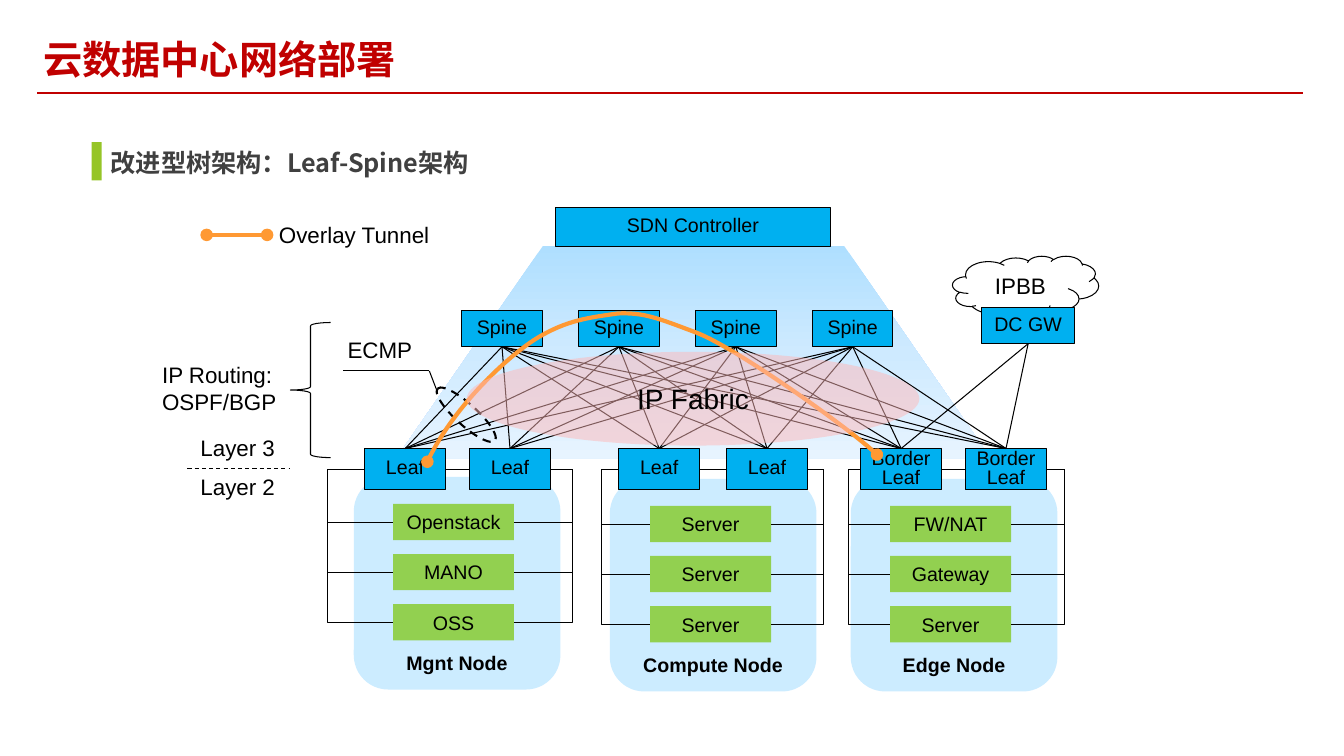
from copy import deepcopy
from dataclasses import dataclass
from typing import Any, Optional

from lxml.etree import SubElement
from pptx import Presentation
from pptx.dml.color import RGBColor
from pptx.enum.dml import MSO_LINE
from pptx.enum.shapes import MSO_CONNECTOR, MSO_SHAPE
from pptx.enum.text import MSO_ANCHOR, MSO_AUTO_SIZE, PP_ALIGN
from pptx.oxml.ns import qn
from pptx.util import Pt


@dataclass(frozen=True)
class Theme:
    title: str = "C00000"
    heading: str = "404040"
    bar: str = "96C527"
    ink: str = "000000"
    paper: str = "FFFFFF"
    panel: str = "CCECFF"
    device: str = "00B0F0"
    service: str = "92D050"
    tunnel: str = "FF9933"
    fabric: str = "FFB8B8"
    glow: tuple = ((0, "AFDFFF"), (0.5, "CEEAFF"), (1, "E7F4FF"))
    latin: str = "Arial"
    cjk: str = "Noto Sans CJK SC"
    title_size: float = 28
    fabric_size: float = 20
    heading_size: float = 18
    label_size: float = 16
    box_size: float = 14
    thin: float = 0.75
    medium: float = 1.5
    thick: float = 3


@dataclass(frozen=True)
class Node:
    name: str
    x: float
    y: float
    leaf_xs: tuple
    leaf_text: str
    services: tuple
    service_x: float
    service_y: float
    buses: tuple


@dataclass(frozen=True)
class Label:
    text: str
    x: float
    y: float
    w: float
    h: float


T = Theme()
NODES = (
    Node("Mgnt Node", 252.7, 340.6, (260.6, 335.5), "Leaf",
         ("Openstack", "MANO", "OSS"), 280.8, 360, (234, 408.7)),
    Node("Compute Node", 435.6, 342, (442.1, 519.1), "Leaf",
         ("Server", "Server", "Server"), 464.4, 361.4, (429.8, 588.6)),
    Node("Edge Node", 607.7, 342, (614.9, 689.8), "Border\nLeaf",
         ("FW/NAT", "Gateway", "Server"), 635.8, 361.4, (606.2, 760.3)),
)
LABELS = (
    Label("ECMP", 241.2, 236.9, 61.2, 26.6),
    Label("IP Routing:\nOSPF/BGP", 108.7, 254.2, 97.2, 46.1),
    Label("Overlay Tunnel", 192.2, 154.1, 123.1, 26.6),
    Label("Layer 3", 136.1, 306.7, 68.4, 26.6),
    Label("Layer 2", 136.1, 334.1, 68.4, 26.6),
)
TUNNEL = (
    (305.3, 329.8),
    (323.3, 291.6), (361.4, 255.6), (383, 241.9),
    (405.4, 228.2), (421.9, 226.8), (441.4, 223.9),
    (460.1, 223.2), (468.7, 226.8), (497.5, 237.6),
    (527, 249.1), (610.6, 308.9), (626.4, 324.7),
)
BOX_FRAME = {"margin_left": Pt(2.9), "margin_right": Pt(2.9), "margin_top": 0, "margin_bottom": 0}
BARE_FRAME = dict.fromkeys(BOX_FRAME, 0)
SERVICE_STEP, SERVICE_W, SERVICE_H = 35.75, 86.4, 25.9
DEVICE_W, SPINE_H, LEAF_Y, LEAF_H = 57.6, 25.9, 320.4, 29.5


def apply(obj: Any, values: dict) -> None:
    for name, value in values.items():
        setattr(obj, name, value)


def write(sp: Any, text: str, size: float, color: str = T.ink, bold: bool = False,
          font: str = T.latin, frame: Optional[dict] = None, para: Optional[dict] = None) -> None:
    tf = sp.text_frame
    tf.text = text
    apply(tf, {"word_wrap": True, "vertical_anchor": MSO_ANCHOR.MIDDLE, **(frame or {})})
    for p in tf.paragraphs:
        apply(p, {"alignment": PP_ALIGN.CENTER, **(para or {})})
        for r in p.runs:
            apply(r.font, {"name": font, "size": Pt(size), "bold": bold})
            r.font.color.rgb = RGBColor.from_string(color)
            if font == T.cjk:
                SubElement(r.font._element, qn("a:ea"), typeface=font)


def stroke(sp: Any, width: float, color: str = T.ink, dashed: bool = False, oval: bool = False) -> None:
    sp.line.color.rgb = RGBColor.from_string(color)
    sp.line.width = Pt(width)
    if dashed:
        sp.line.dash_style = MSO_LINE.DASH
    if oval:
        for end in ("a:headEnd", "a:tailEnd"):
            SubElement(sp.line._get_or_add_ln(), qn(end), type="oval")


def add_shape(kind: Any, x: float, y: float, w: float, h: float,
              fill: Optional[str] = None, line: float = 0, dashed: bool = False) -> Any:
    sp = slide.shapes.add_shape(kind, Pt(x), Pt(y), Pt(w), Pt(h))
    sp.shadow.inherit = False
    if fill:
        sp.fill.solid()
        sp.fill.fore_color.rgb = RGBColor.from_string(fill)
    else:
        sp.fill.background()
    if line:
        stroke(sp, line, dashed=dashed)
    else:
        sp.line.fill.background()
    return sp


def add_device(text: str, x: float, y: float, w: float, h: float) -> Any:
    sp = add_shape(MSO_SHAPE.RECTANGLE, x, y, w, h, T.device, T.thin)
    write(sp, text, T.box_size, frame=BOX_FRAME, para={"line_spacing": 0.8})
    return sp


def add_line(x1: float, y1: float, x2: float, y2: float, width: float = T.thin,
             color: str = T.ink, kind: Any = MSO_CONNECTOR.STRAIGHT, **ends: bool) -> Any:
    cxn = slide.shapes.add_connector(kind, Pt(x1), Pt(y1), Pt(x2), Pt(y2))
    stroke(cxn, width, color, **ends)
    SubElement(cxn._element.spPr, qn("a:effectLst"))
    return cxn


def join(start: Any, start_site: int, end: Any, end_site: int) -> None:
    cxn = add_line(0, 0, 1, 1)
    cxn.begin_connect(start, start_site)
    cxn.end_connect(end, end_site)


def add_bus(x1: float, y1: float, x2: float, y2: float, bus_x: float) -> None:
    cxn = add_line(x1, y1, x2, y2, kind=MSO_CONNECTOR.ELBOW)
    guides = cxn._element.spPr.find(qn("a:prstGeom")).get_or_add_avLst()
    bend = round((bus_x - x1) / (x2 - x1) * 100000)
    SubElement(guides, qn("a:gd"), name="adj1", fmla=f"val {bend}")


def add_node(node: Node) -> list:
    panel = add_shape(MSO_SHAPE.ROUNDED_RECTANGLE, node.x, node.y, 147.6, 151.9, T.panel)
    write(panel, node.name, T.box_size, bold=True, frame={"vertical_anchor": MSO_ANCHOR.BOTTOM})
    leaves = [add_device(node.leaf_text, x, LEAF_Y, DEVICE_W, LEAF_H) for x in node.leaf_xs]
    join(leaves[0], 3, leaves[1], 1)
    leaf_mid = LEAF_Y + LEAF_H / 2
    for i, text in enumerate(node.services):
        y = node.service_y + i * SERVICE_STEP
        sp = add_shape(MSO_SHAPE.RECTANGLE, node.service_x, y, SERVICE_W, SERVICE_H, T.service)
        write(sp, text, T.box_size, frame=BARE_FRAME)
        mid = y + SERVICE_H / 2
        add_bus(node.leaf_xs[0], leaf_mid, node.service_x, mid, node.buses[0])
        add_bus(node.leaf_xs[1] + DEVICE_W, leaf_mid, node.service_x + SERVICE_W, mid, node.buses[1])
    return leaves


def add_glow() -> None:
    sp = add_shape(MSO_SHAPE.TRAPEZOID, 283, 175.7, 424.8, 151.9)
    sp.adjustments[0] = 0.69
    sp.fill.gradient()
    sp.fill.gradient_angle = 270
    stops = sp._element.spPr.find(".//" + qn("a:gsLst"))
    stops.insert(1, deepcopy(stops[0]))
    for stop, (position, color) in zip(sp.fill.gradient_stops, T.glow):
        stop.position = position
        stop.color.rgb = RGBColor.from_string(color)


def add_tunnel() -> None:
    start, *points = [(Pt(x), Pt(y)) for x, y in TUNNEL]
    builder = slide.shapes.build_freeform(*start)
    builder.add_line_segments(points, close=False)
    sp = builder.convert_to_shape()
    sp.shadow.inherit = False
    sp.fill.background()
    stroke(sp, T.thick, T.tunnel, oval=True)
    outline = sp._element.spPr.find(".//" + qn("a:path"))
    segments = outline.findall(qn("a:lnTo"))
    for i in range(0, len(segments), 3):
        curve = SubElement(outline, qn("a:cubicBezTo"))
        for segment in segments[i:i + 3]:
            curve.append(segment[0])
            outline.remove(segment)


def add_text(label: Label, size: float = T.label_size, wrap: bool = False, **style: Any) -> None:
    sp = slide.shapes.add_textbox(Pt(label.x), Pt(label.y), Pt(label.w), Pt(label.h))
    frame = {"word_wrap": wrap, "vertical_anchor": MSO_ANCHOR.TOP, "auto_size": MSO_AUTO_SIZE.SHAPE_TO_FIT_TEXT}
    write(sp, label.text, size, frame=frame, para={"alignment": PP_ALIGN.LEFT}, **style)


prs = Presentation()
apply(prs, {"slide_width": Pt(960), "slide_height": Pt(540)})
slide = prs.slides.add_slide(prs.slide_layouts[5])
title = slide.shapes.title
apply(title, {"left": Pt(23.8), "top": Pt(21.6), "width": Pt(922.3), "height": Pt(41)})
title.fill.solid()
title.fill.fore_color.rgb = RGBColor.from_string(T.paper)
write(title, "云数据中心网络部署", T.title_size, T.title, True, T.cjk,
      {"auto_size": MSO_AUTO_SIZE.NONE}, {"alignment": PP_ALIGN.LEFT})
add_line(26.6, 66.2, 931, 66.2, T.medium, T.title)
add_text(Label("改进型树架构：Leaf-Spine架构", 72, 101.5, 274.3, 28.8), T.heading_size,
         wrap=True, color=T.heading, bold=True, font=T.cjk)
add_shape(MSO_SHAPE.RECTANGLE, 65.5, 101.5, 7.2, 27.4, T.bar)

add_glow()
cloud = add_shape(MSO_SHAPE.CLOUD, 680.4, 182.9, 104.4, 43.9, T.paper, T.thin)
write(cloud, "IPBB", T.label_size)
add_device("SDN Controller", 396.7, 148.3, 196.6, 28.1)
spines = [add_device("Spine", 329.8 + 83.5 * i, 221.8, DEVICE_W, SPINE_H) for i in range(4)]
gateway = add_device("DC GW", 701.3, 219.6, 66.2, SPINE_H)
leaves = [leaf for node in NODES for leaf in add_node(node)]
for spine in spines:
    for leaf in leaves:
        join(spine, 2, leaf, 0)
for leaf in leaves[-2:]:
    join(gateway, 2, leaf, 0)

bundle = add_shape(MSO_SHAPE.OVAL, 305.3, 288.7, 55.4, 15.1, line=T.medium, dashed=True)
bundle.rotation = 42.2
add_line(312.5, 280.1, 306.7, 265)
add_line(306.7, 265, 244.8, 265)
add_tunnel()
add_shape(MSO_SHAPE.LEFT_BRACE, 207.4, 230.4, 28.8, 96.5, line=T.thin)
add_line(147.6, 167.8, 190.8, 167.8, T.thick, T.tunnel, oval=True)
add_line(133.9, 334.8, 207.4, 334.8, dashed=True)
for label in LABELS:
    add_text(label)
fabric = add_shape(MSO_SHAPE.OVAL, 333.4, 251.3, 323.3, 67, T.fabric)
SubElement(fabric._element.spPr.find(".//" + qn("a:srgbClr")), qn("a:alpha"), val="50000")
write(fabric, "IP Fabric", T.fabric_size)
prs.save("out.pptx")
